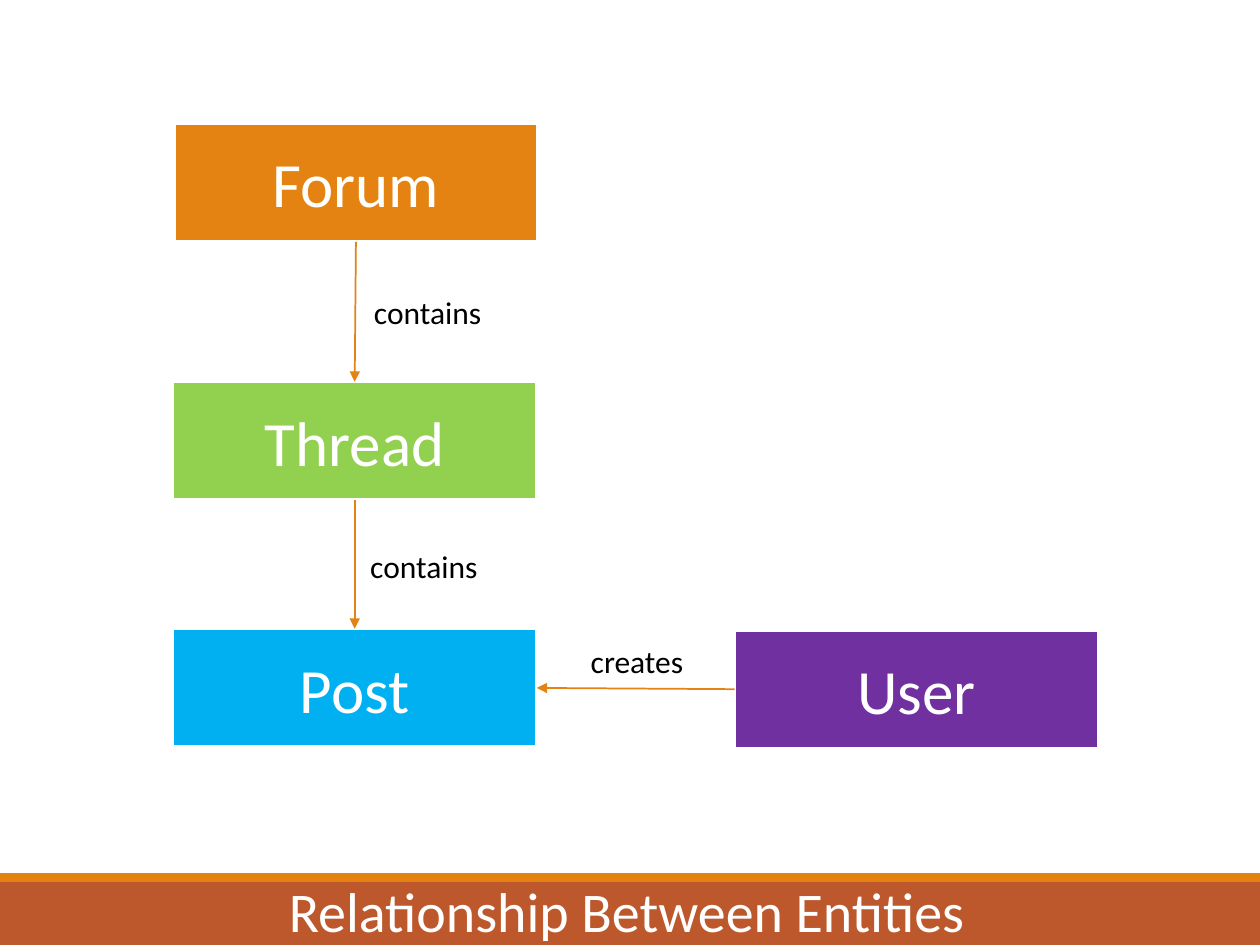
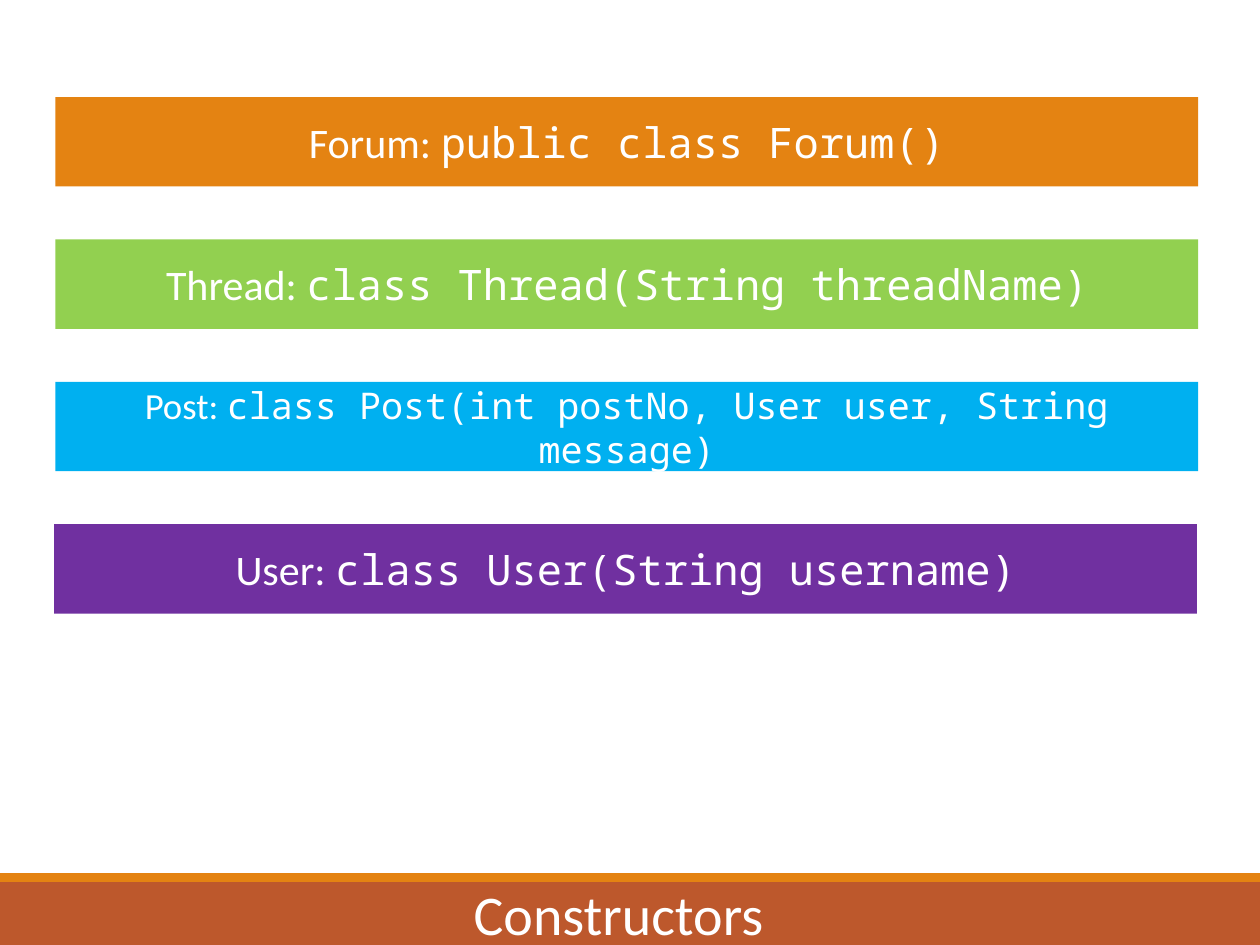
from dataclasses import dataclass

import pptx
import pptx.dml.color
import pptx.enum.shapes
import pptx.enum.text
import pptx.oxml
import pptx.oxml.ns
import pptx.util
from pptx.shapes.autoshape import Shape
from pptx.slide import Slide
from pptx.util import Inches

COLOURS = {
    "band": "BD582C",
    "accent": "E48312",
    "Forum": "E48312",
    "Thread": "92D050",
    "Post": "00B0F0",
    "User": "7030A0",
    "white": "FFFFFF",
    "black": "000000",
}
FONT = "Calibri"
CODE_FONT = "Noto Sans Mono"
CENTER = pptx.enum.text.PP_ALIGN.CENTER
TOP, LEFT, BOTTOM, RIGHT = range(4)


@dataclass
class Title:
    text: str
    left: float
    top: float
    width: float


@dataclass
class Entity:
    name: str
    left: float
    top: float


@dataclass
class Relation:
    source: str
    source_side: int
    target: str
    target_side: int
    label: str
    left: float
    top: float
    width: float


@dataclass
class Constructor:
    name: str
    code: str
    left: float = 0.44
    size: int = 24


ENTITIES = [
    Entity("Forum", 1.38, 0.98),
    Entity("Thread", 1.37, 3.03),
    Entity("Post", 1.37, 4.99),
    Entity("User", 5.83, 5),
]
RELATIONS = [
    Relation("Forum", BOTTOM, "Thread", TOP, "contains", 2.87, 2.28, 1.06),
    Relation("Thread", BOTTOM, "Post", TOP, "contains", 2.84, 4.29, 1.06),
    Relation("User", LEFT, "Post", RIGHT, "creates", 4.59, 5.05, 0.94),
]
CONSTRUCTORS = [
    Constructor("Forum", "public class Forum()"),
    Constructor("Thread", "class Thread(String threadName)"),
    Constructor("Post", "class Post(int postNo, User user, String message)", size=21),
    Constructor("User", "class User(String username)", left=0.43),
]


def colour(name: str) -> pptx.dml.color.RGBColor:
    return pptx.dml.color.RGBColor.from_string(COLOURS[name])


def style_paragraph(para, size: int, ink: str) -> None:
    para.font.name = FONT
    para.font.size = pptx.util.Pt(size)
    para.font.color.rgb = colour(ink)


def add_rectangle(page: Slide, fill: str, left: float, top: float,
                  width: float, height: float) -> Shape:
    box = page.shapes.add_shape(
        pptx.enum.shapes.MSO_SHAPE.RECTANGLE,
        Inches(left), Inches(top), Inches(width), Inches(height))
    box.shadow.inherit = False
    box.fill.solid()
    box.fill.fore_color.rgb = colour(fill)
    box.line.fill.background()
    return box


def add_text(page: Slide, text: str, size: int, ink: str, left: float,
             top: float, width: float, height: float) -> Shape:
    box = page.shapes.add_textbox(
        Inches(left), Inches(top), Inches(width), Inches(height))
    para = box.text_frame.paragraphs[0]
    para.text = text
    style_paragraph(para, size, ink)
    return box


def add_page(deck, title: Title) -> Slide:
    page = deck.slides.add_slide(deck.slide_layouts[6])
    add_rectangle(page, "band", 0, 7, 10, 0.5)
    add_rectangle(page, "accent", 0, 6.93, 10, 0.07)
    box = add_text(page, title.text, 32, "white",
                   title.left, title.top, title.width, 0.64)
    box.text_frame.word_wrap = True
    box.text_frame.vertical_anchor = pptx.enum.text.MSO_ANCHOR.BOTTOM
    box.text_frame.paragraphs[0].alignment = CENTER
    return page


def add_entity(page: Slide, entity: Entity) -> Shape:
    box = add_rectangle(page, entity.name, entity.left, entity.top, 2.89, 0.94)
    box.line.color.rgb = colour("white")
    box.line.width = pptx.util.Pt(2)
    para = box.text_frame.paragraphs[0]
    para.text = entity.name
    para.alignment = CENTER
    style_paragraph(para, 36, "white")
    return box


def add_relation(page: Slide, relation: Relation, boxes: dict[str, Shape]) -> None:
    arrow = page.shapes.add_connector(
        pptx.enum.shapes.MSO_CONNECTOR.STRAIGHT, 0, 0, 0, 0)
    arrow.begin_connect(boxes[relation.source], relation.source_side)
    arrow.end_connect(boxes[relation.target], relation.target_side)
    arrow.line.color.rgb = colour("accent")
    arrow.line.width = pptx.util.Pt(1)
    head = pptx.oxml.parse_xml(
        f'<a:tailEnd {pptx.oxml.ns.nsdecls("a")} type="triangle"/>')
    arrow.line._get_or_add_ln().append(head)
    no_effects = pptx.oxml.parse_xml(
        f'<a:effectLst {pptx.oxml.ns.nsdecls("a")}/>')
    arrow._element.spPr.append(no_effects)
    label = add_text(page, relation.label, 18, "black",
                     relation.left, relation.top, relation.width, 0.4)
    label.text_frame.word_wrap = False


def add_constructor(page: Slide, constructor: Constructor, row: int) -> None:
    box = add_rectangle(page, constructor.name, constructor.left,
                        0.77 + 1.13 * row, 9.07, 0.71)
    para = box.text_frame.paragraphs[0]
    para.alignment = CENTER
    style_paragraph(para, constructor.size, "white")
    for text, font in ((f"{constructor.name}: ", FONT),
                       (constructor.code, CODE_FONT)):
        span = para.add_run()
        span.text = text
        span.font.name = font


def main() -> None:
    deck = pptx.Presentation()
    deck.slide_width = Inches(10)
    deck.slide_height = Inches(7.5)

    page = add_page(deck, Title("Relationship Between Entities", 1.77, 6.9, 6.41))
    boxes = {entity.name: add_entity(page, entity) for entity in ENTITIES}
    for relation in RELATIONS:
        add_relation(page, relation, boxes)

    page = add_page(deck, Title("Constructors", 2.79, 6.92, 4.24))
    for row, constructor in enumerate(CONSTRUCTORS):
        add_constructor(page, constructor, row)

    deck.save("out.pptx")


if __name__ == "__main__":
    main()
